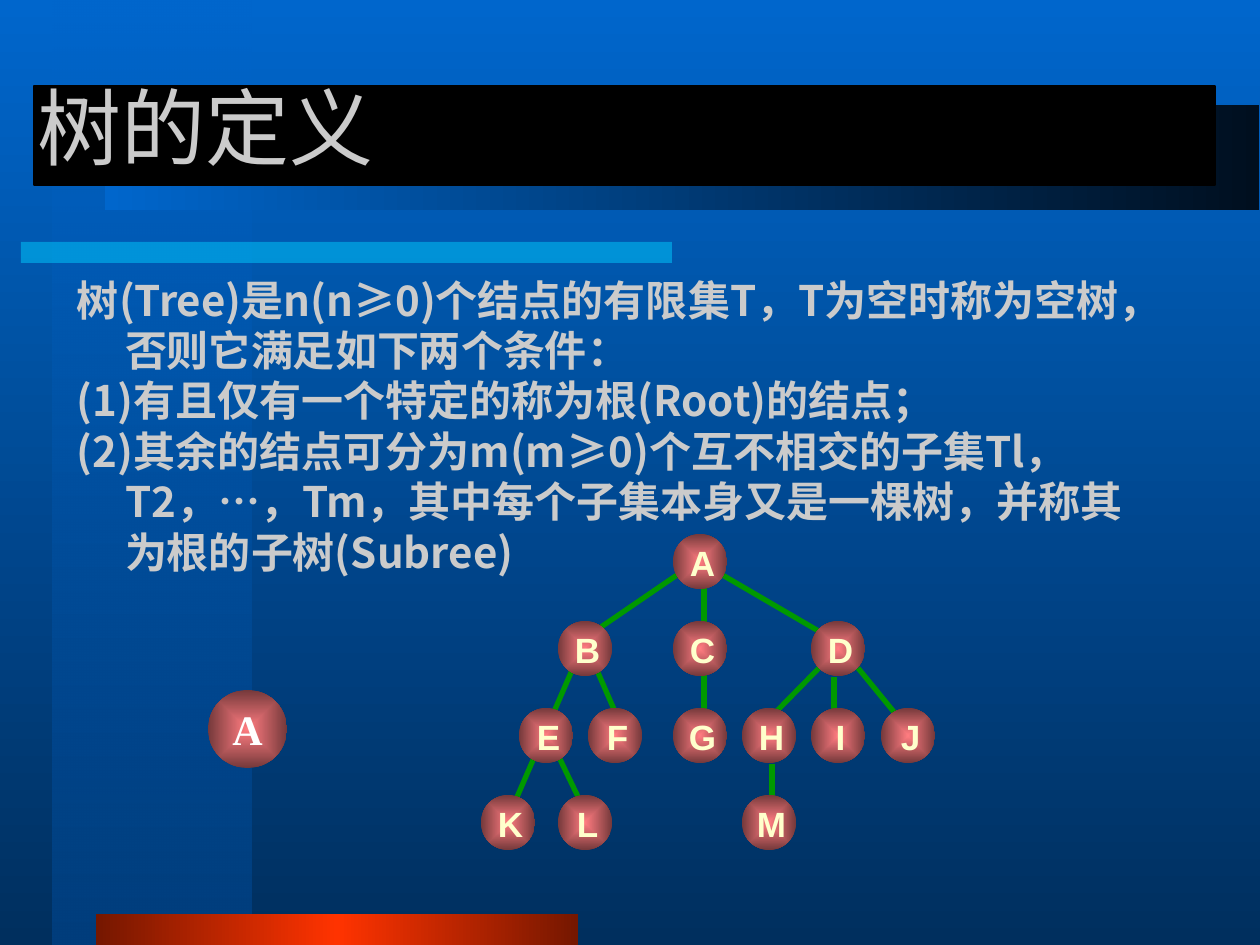
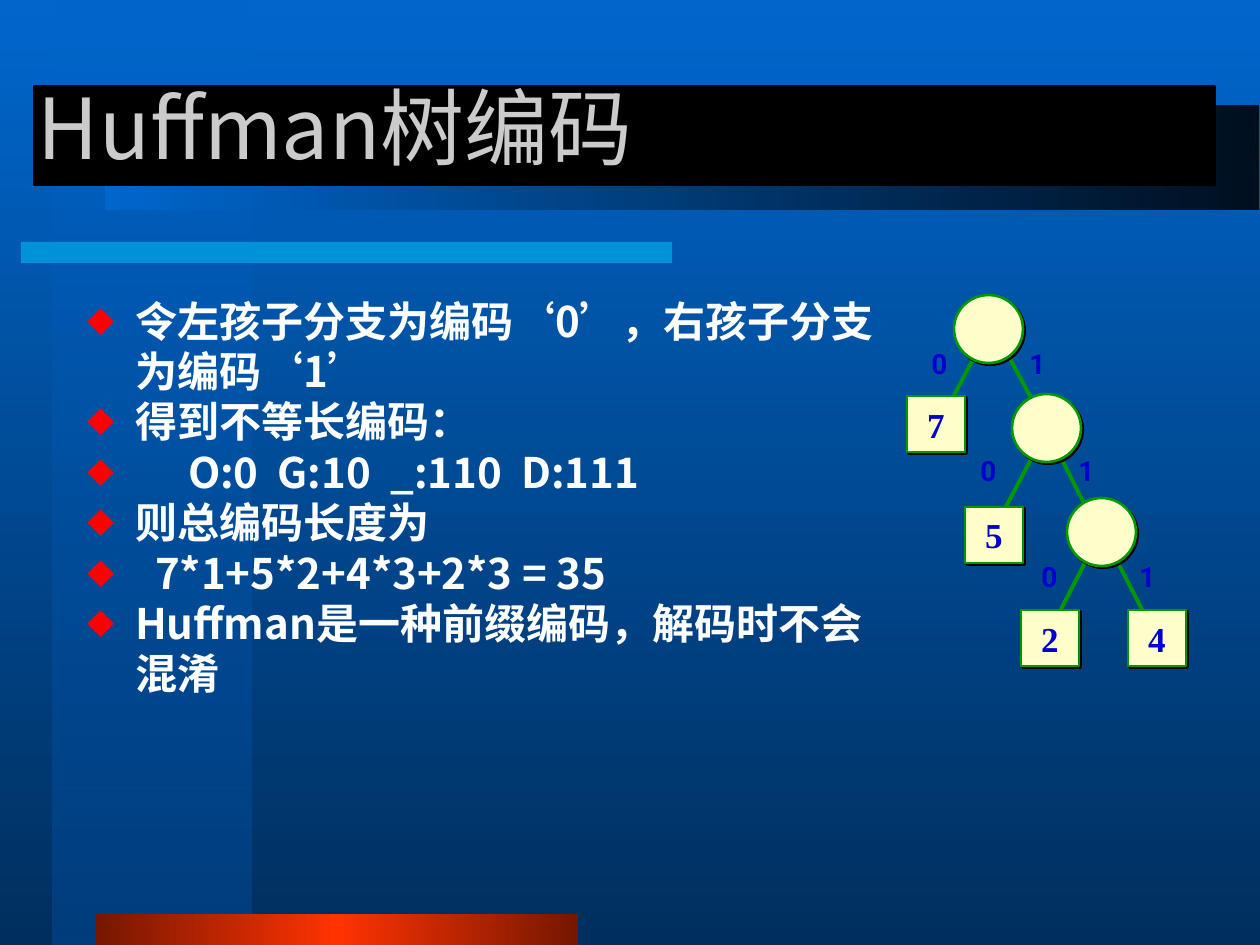
import dataclasses

import lxml.etree
import pptx
import pptx.dml.color
import pptx.enum.shapes
import pptx.enum.text
import pptx.oxml.ns
import pptx.util

PX = 914400 / 126  # EMU in one px
KIND = pptx.enum.shapes.MSO_SHAPE
ALIGN = pptx.enum.text.PP_ALIGN
ANCHOR = pptx.enum.text.MSO_ANCHOR
qn = pptx.oxml.ns.qn


@dataclasses.dataclass(frozen=True)
class Theme:
    sky: str = "0066CC"
    deep: str = "002F5E"
    column: str = "003E7D"
    night: str = "000F1F"
    cyan: str = "00CCFF"
    ember: str = "751700"
    flame: str = "FF3300"
    black: str = "000000"
    grey: str = "CBCBCB"
    white: str = "FFFFFF"
    cream: str = "FFFFCC"
    rose: str = "FF7C80"
    maroon: str = "75393B"
    green: str = "009900"
    blue: str = "0000CC"
    bullet: str = "FF0000"
    title_font: str = "Noto Sans CJK JP"
    body_font: str = "Noto Sans CJK SC"
    node_font: str = "Arial"
    number_font: str = "Times New Roman"
    branch_font: str = "Roboto"
    title_size: int = 48
    body_size: int = 24
    node_size: int = 20
    branch_size: int = 16
    body_leading: float = 28.8


T = Theme()

# ---- Content: the definition of a tree ----
DEFINITION_TITLE = "树的定义"
DEFINITION = [
    "树(Tree)是n(n≥0)个结点的有限集T，T为空时称为空树，否则它满足如下两个条件：",
    "(1)有且仅有一个特定的称为根(Root)的结点；",
    "(2)其余的结点可分为m(m≥0)个互不相交的子集Tl，T2，…，Tm，"
    "其中每个子集本身又是一棵树，并称其为根的子树(Subree)",
]
DEFINITION_BOX = (64, 268, 1108, 315)
LONE_ROOT = ("A", (208, 690, 79, 78))
TREE_TOP, TREE_ROW, TREE_NODE = 534, 87, (54, 55)
TREE_LEVELS = [  # left edge of each node, one dict per level
    {"A": 673},
    {"B": 558, "C": 673, "D": 811},
    {"E": 519, "F": 588, "G": 673, "H": 742, "I": 811, "J": 881},
    {"K": 481, "L": 558, "M": 742},
]
TREE_EDGES = {
    "A-B": (680, 573, 588, 636), "A-C-G": (704, 582, 704, 762),
    "A-D": (719, 573, 827, 636), "B-E-K": (573, 668, 504, 827),
    "B-F": (596, 668, 620, 723), "E-L": (558, 755, 581, 803),
    "D-H": (819, 668, 772, 716), "D-I": (834, 677, 834, 716),
    "D-J": (858, 668, 903, 723), "H-M": (772, 764, 772, 810),
}

# ---- Content: Huffman coding ----
HUFFMAN_TITLE = "Huffman树编码"
HUFFMAN = [  # text, extra indent
    ("令左孩子分支为编码‘0’，右孩子分支为编码‘1’", 0),
    ("得到不等长编码：", 0),
    ("O:0  G:10  _:110  D:111", 53),
    ("则总编码长度为", 0),
    ("7*1+5*2+4*3+2*3 = 35", 20),
    ("Huffman是一种前缀编码，解码时不会混淆", 0),
]
HUFFMAN_BOX = (74, 289, 816, 416)
INNER_SIZE, LEAF_SIZE, BRANCH_SIZE = (69, 68), (58, 56), (37, 47)
INNER_NODES = [(954, 295), (1012, 394), (1067, 498)]
LEAVES = {"7": (907, 396), "5": (965, 507), "2": (1021, 610), "4": (1128, 610)}
HUFFMAN_EDGES = [
    (977, 352, 942, 418), (1000, 340, 1036, 407),
    (1036, 450, 1000, 518), (1058, 452, 1092, 519),
    (1090, 553, 1055, 621), (1113, 553, 1148, 621),
]
ZERO_LABELS = [(921, 340), (970, 447), (1031, 553)]
ONE_OFFSET = 98  # from a 0 label to the 1 label beside it

HANGING = 48


# ---- Helpers ----
def px(length):
    return pptx.util.Emu(round(length * PX))


def rgb(colour):
    return pptx.dml.color.RGBColor.from_string(colour)


def child(parent, tag, **attributes):
    values = {name: str(value) for name, value in attributes.items()}
    return lxml.etree.SubElement(parent, qn(tag), values)


def place(part, box):
    part.left, part.top, part.width, part.height = map(px, box)


def fill_gradient(fill, stops, angle=None):
    """Stops are (percent, colour, opacity); no angle means from the centre."""
    fill.gradient()
    gradient = fill._xPr.find(qn("a:gradFill"))
    for old in list(gradient):
        gradient.remove(old)
    stop_list = child(gradient, "a:gsLst")
    for percent, colour, opacity in stops:
        stop = child(stop_list, "a:gs", pos=percent * 1000)
        tint = child(stop, "a:srgbClr", val=colour)
        if opacity < 100:
            child(tint, "a:alpha", val=opacity * 1000)
    if angle is None:
        centre = child(gradient, "a:path", path="rect")
        child(centre, "a:fillToRect", l=50000, t=50000, r=50000, b=50000)
    else:
        child(gradient, "a:lin", ang=angle * 60000, scaled=0)


def add_part(slide, kind, box, colour=None, line=None, line_width=0.75):
    part = slide.shapes.add_shape(kind, *map(px, box))
    part.shadow.inherit = False
    if colour:
        part.fill.solid()
        part.fill.fore_color.rgb = rgb(colour)
    if line:
        part.line.color.rgb = rgb(line)
        part.line.width = pptx.util.Pt(line_width)
    else:
        part.line.fill.background()
    return part


def add_edge(slide, ends, width):
    edge = slide.shapes.add_connector(
        pptx.enum.shapes.MSO_CONNECTOR.STRAIGHT, *map(px, ends))
    edge.line.color.rgb = rgb(T.green)
    edge.line.width = pptx.util.Pt(width)
    child(edge._element.spPr, "a:effectLst")


def write(frame, lines, *, font, size, colour, bold=True, align=ALIGN.CENTER,
          anchor=ANCHOR.MIDDLE, insets=(0, 0, 0, 0), wrap=False,
          leading=None, hanging=None, bullet=None):
    """Lines are (text, extra indent) pairs."""
    frame.auto_size = pptx.enum.text.MSO_AUTO_SIZE.NONE
    frame.word_wrap = wrap
    frame.vertical_anchor = anchor
    (frame.margin_left, frame.margin_top,
     frame.margin_right, frame.margin_bottom) = map(px, insets)
    for number, (text, extra) in enumerate(lines):
        paragraph = frame.add_paragraph() if number else frame.paragraphs[0]
        paragraph.alignment = align
        paragraph.space_before = pptx.util.Pt(0)
        if leading:
            paragraph.line_spacing = pptx.util.Pt(leading)
        properties = paragraph._p.get_or_add_pPr()
        if hanging:
            properties.set("marL", str(px(hanging + extra)))
            properties.set("indent", str(px(-hanging - extra)))
        if bullet:
            child(child(properties, "a:buClr"), "a:srgbClr", val=T.bullet)
            child(properties, "a:buSzPct", val=65000)
            child(properties, "a:buFont", typeface=font)
            child(properties, "a:buChar", char=bullet)
        else:
            child(properties, "a:buNone")
        run = paragraph.add_run()
        run.text = text
        run.font.size = pptx.util.Pt(size)
        run.font.bold = bold
        run.font.color.rgb = rgb(colour)
        run.font.name = font
        child(run._r.get_or_add_rPr(), "a:ea", typeface=font)


# ---- Shared look ----
def dress_layout(presentation, layout, slide):
    """Draw the bands on a slide, then move them to the layout."""
    fill_gradient(presentation.slide_master.background.fill,
                  [(0, T.sky, 100), (100, T.deep, 100)], 90)
    column = add_part(slide, KIND.RECTANGLE, (53, 0, 199, 945))
    fill_gradient(column.fill, [(0, T.sky, 50), (100, T.column, 100)], 90)
    rule = add_part(slide, KIND.RECTANGLE, (21, 242, 651, 21))
    fill_gradient(rule.fill, [(0, T.cyan, 50), (100, T.cyan, 50)], 0)
    footer = add_part(slide, KIND.RECTANGLE, (96, 914, 482, 31))
    fill_gradient(footer.fill, [(0, T.ember, 100), (50, T.flame, 100),
                                (100, T.ember, 100)], 180)
    title_shade = add_part(slide, KIND.RECTANGLE, (105, 105, 1154, 105))
    fill_gradient(title_shade.fill,
                  [(0, T.night, 100), (100, T.sky, 100)], 180)
    title_bar = add_part(slide, KIND.RECTANGLE, (34, 86, 1181, 99),
                         T.black, T.black)
    for band in (column, rule, footer, title_shade, title_bar):
        layout.shapes._spTree.append(band._element)
    place(layout.placeholders[0], (25, 47, 1071, 158))


def write_page(slide, title, lines, box, colour, bullet=None):
    write(slide.shapes.title.text_frame, [(title, 0)], font=T.title_font,
          size=T.title_size, colour=T.grey, bold=False, align=ALIGN.LEFT,
          insets=(13, 6, 13, 6), wrap=True)
    body = slide.placeholders[1]
    place(body, box)
    write(body.text_frame, lines, font=T.body_font, size=T.body_size,
          colour=colour, align=ALIGN.LEFT, anchor=ANCHOR.TOP,
          insets=(13, 6, 13, 6), wrap=True, leading=T.body_leading,
          hanging=HANGING, bullet=bullet)


# ---- Tree of the definition ----
def add_ball(slide, box, letter, **style):
    ball = add_part(slide, KIND.OVAL, box)
    fill_gradient(ball.fill, [(0, T.rose, 100), (100, T.maroon, 100)])
    write(ball.text_frame, [(letter, 0)], **style)


def draw_tree(slide):
    letter, box = LONE_ROOT
    add_ball(slide, box, letter, font=T.number_font, size=T.body_size,
             colour=T.white)
    for ends in TREE_EDGES.values():
        add_edge(slide, ends, 3)
    for level, nodes in enumerate(TREE_LEVELS):
        top = TREE_TOP + level * TREE_ROW
        for letter, left in nodes.items():
            add_ball(slide, (left, top, *TREE_NODE), letter, font=T.node_font,
                     size=T.node_size, colour=T.cream, insets=(5, 2, 0, 0))


# ---- Huffman tree ----
def add_card(slide, kind, box):
    card = add_part(slide, kind, box, T.cream, T.green, 1.5)
    effects = card._element.spPr.find(qn("a:effectLst"))
    shadow = child(effects, "a:outerShdw", dist=pptx.util.Pt(1.4),
                   dir=45 * 60000, algn="ctr", rotWithShape=0)
    child(shadow, "a:srgbClr", val=T.black)
    return card


def draw_huffman(slide):
    for ends in HUFFMAN_EDGES:
        add_edge(slide, ends, 2.25)
    for corner in INNER_NODES:
        add_card(slide, KIND.OVAL, (*corner, *INNER_SIZE))
    for weight, corner in LEAVES.items():
        leaf = add_card(slide, KIND.RECTANGLE, (*corner, *LEAF_SIZE))
        write(leaf.text_frame, [(weight, 0)], font=T.number_font,
              size=T.node_size, colour=T.blue)
    for left, top in ZERO_LABELS:
        for code in (0, 1):
            box = (left + code * ONE_OFFSET, top, *BRANCH_SIZE)
            branch = slide.shapes.add_textbox(*map(px, box))
            write(branch.text_frame, [(str(code), 0)], font=T.branch_font,
                  size=T.branch_size, colour=T.blue, wrap=True)


def main():
    presentation = pptx.Presentation()
    presentation.slide_width, presentation.slide_height = px(1260), px(945)
    layout = presentation.slide_layouts[1]

    definition = presentation.slides.add_slide(layout)
    dress_layout(presentation, layout, definition)
    write_page(definition, DEFINITION_TITLE, [(line, 0) for line in DEFINITION],
               DEFINITION_BOX, T.grey)
    draw_tree(definition)

    huffman = presentation.slides.add_slide(layout)
    write_page(huffman, HUFFMAN_TITLE, HUFFMAN, HUFFMAN_BOX, T.white, "◆")
    draw_huffman(huffman)

    presentation.save("out.pptx")


if __name__ == "__main__":
    main()
